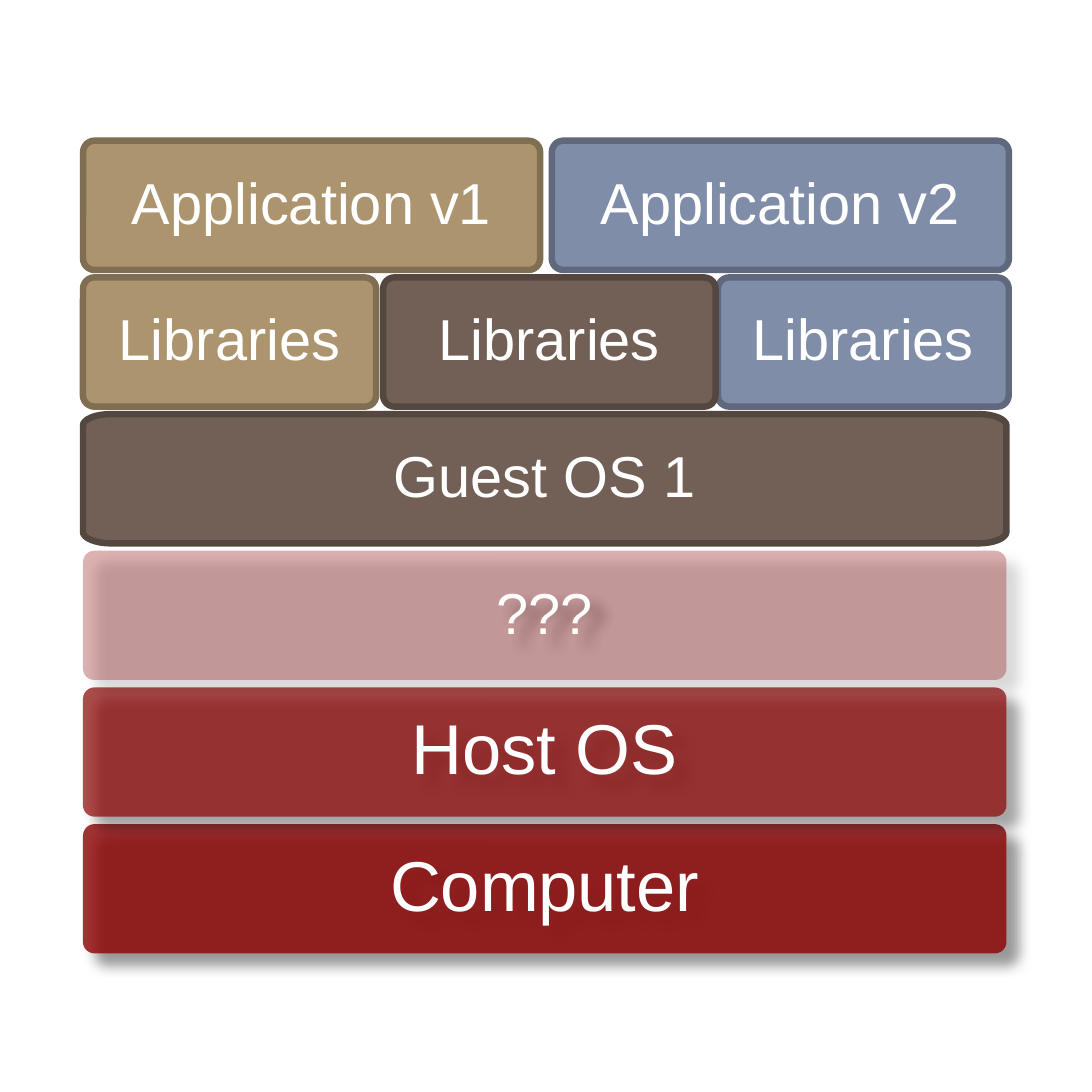
import math
from dataclasses import dataclass

from lxml import etree
from pptx import Presentation
from pptx.dml.color import RGBColor
from pptx.enum.shapes import MSO_SHAPE
from pptx.enum.text import MSO_ANCHOR, PP_ALIGN
from pptx.oxml.ns import qn
from pptx.shapes.autoshape import Shape
from pptx.shapes.shapetree import SlideShapes
from pptx.util import Inches, Pt

ROUNDED = MSO_SHAPE.ROUNDED_RECTANGLE
MIDDLE = MSO_ANCHOR.MIDDLE
CENTER = PP_ALIGN.CENTER

SLIDE_SIDE = 4.73
LEFT, FULL_WIDTH = 0.36, 4.0
TOP_ROW, BOTTOM_ROW = 0.61, 3.57
ROW_PITCH = (BOTTOM_ROW - TOP_ROW) / 5
HEIGHT = 0.56
CORNER = 0.05
ARC_STEPS = 8

RED, BROWN, TAN, BLUE = "8D0101", "726056", "AC956E", "808DA9"
BORDERS = {BROWN: "544740", TAN: "7F6E51", BLUE: "5F687D"}


@dataclass
class Layer:
    text: str
    row: int
    fill: str
    left: float = LEFT
    width: float = FULL_WIDTH
    size: int = 18
    opacity: int = 100
    corner_width: float = CORNER


LAYERS = [
    Layer("Computer", 5, RED, size=22, opacity=80),
    Layer("Host OS", 4, RED, size=22, opacity=70),
    Layer("???", 3, RED, opacity=30),
    Layer("Guest OS 1", 2, BROWN, corner_width=0.12),
    Layer("Libraries", 1, TAN, width=1.27),
    Layer("Application v1", 0, TAN, width=1.98),
    Layer("Libraries", 1, BLUE, left=3.11, width=1.26),
    Layer("Application v2", 0, BLUE, left=2.39, width=1.98),
    Layer("Libraries", 1, BROWN, left=1.66, width=1.44),
]


def color(value: str) -> RGBColor:
    return RGBColor.from_string(value)


def add_outline(shapes: SlideShapes, layer: Layer, top: float) -> Shape:
    """Add a preset box, or a freeform one if its corners are elliptical."""
    if layer.corner_width == CORNER:
        shape = shapes.add_shape(ROUNDED, Inches(layer.left), Inches(top),
                                 Inches(layer.width), Inches(HEIGHT))
        shape.adjustments[0] = CORNER / HEIGHT
        return shape
    half_width, half_height = layer.width / 2, HEIGHT / 2
    points = []
    for quarter, (side_x, side_y) in enumerate([(1, 1), (-1, 1), (-1, -1), (1, -1)]):
        for step in range(ARC_STEPS + 1):
            angle = (quarter + step / ARC_STEPS) * math.pi / 2
            x = side_x * (half_width - layer.corner_width) + layer.corner_width * math.cos(angle)
            y = side_y * (half_height - CORNER) + CORNER * math.sin(angle)
            points.append((Inches(layer.left + half_width + x), Inches(top + half_height + y)))
    builder = shapes.build_freeform(*points[0])
    builder.add_line_segments(points[1:], close=True)
    return builder.convert_to_shape()


def make_glassy(shape: Shape, opacity: int) -> None:
    """Make the fill translucent and give the shape a soft drop shadow."""
    properties = shape.fill._xPr
    fill_color = properties.find(qn("a:solidFill"))[0]
    etree.SubElement(fill_color, qn("a:alpha"), val=str(opacity * 1000))
    shadow = etree.SubElement(properties.find(qn("a:effectLst")), qn("a:outerShdw"),
                              blurRad=str(Pt(4)), dist=str(Pt(5)), dir=str(45 * 60000),
                              algn="tl", rotWithShape="0")
    shadow_color = etree.SubElement(shadow, qn("a:srgbClr"), val="000000")
    etree.SubElement(shadow_color, qn("a:alpha"), val="50000")


def add_layer(shapes: SlideShapes, layer: Layer) -> None:
    shape = add_outline(shapes, layer, TOP_ROW + layer.row * ROW_PITCH)
    shape.shadow.inherit = False
    shape.fill.solid()
    shape.fill.fore_color.rgb = color(layer.fill)
    if layer.fill in BORDERS:
        shape.line.color.rgb = color(BORDERS[layer.fill])
        shape.line.width = Pt(2)
    else:
        shape.line.fill.background()
    if layer.opacity < 100:
        make_glassy(shape, layer.opacity)

    frame = shape.text_frame
    frame.word_wrap = True
    frame.vertical_anchor = MIDDLE
    inset = Inches(layer.size / 200)
    frame.margin_left = frame.margin_right = inset
    frame.margin_top = frame.margin_bottom = inset
    paragraph = frame.paragraphs[0]
    paragraph.text = layer.text
    paragraph.alignment = CENTER
    paragraph.line_spacing = 0.9
    paragraph.space_after = Pt(0.35 * layer.size)
    paragraph.font.name = "Arial"
    paragraph.font.size = Pt(layer.size)
    paragraph.font.color.rgb = color("FFFFFF")


def main() -> None:
    presentation = Presentation()
    presentation.slide_width = presentation.slide_height = Inches(SLIDE_SIDE)
    slide = presentation.slides.add_slide(presentation.slide_layouts[6])
    for layer in LAYERS:
        add_layer(slide.shapes, layer)
    presentation.save("out.pptx")


if __name__ == "__main__":
    main()
